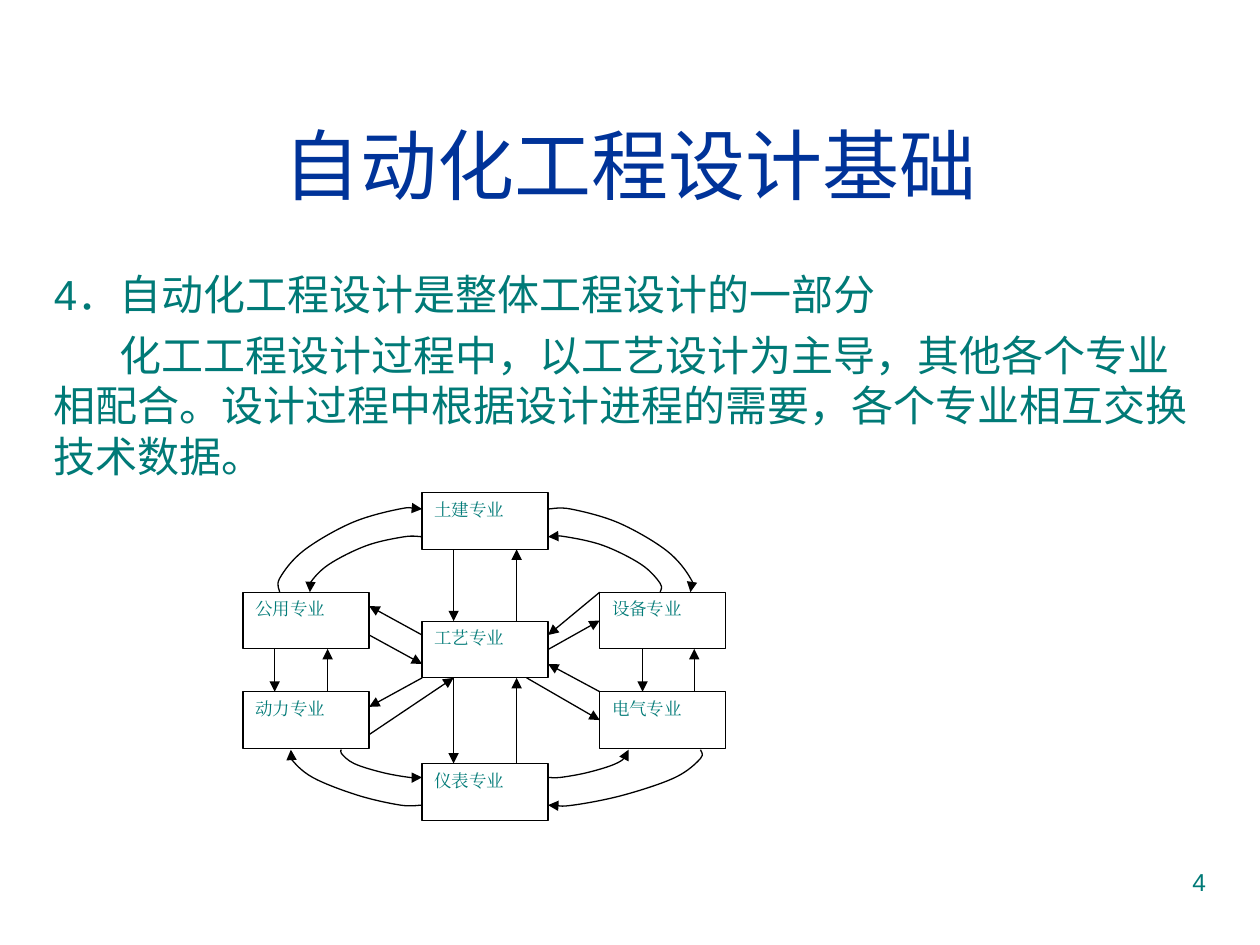
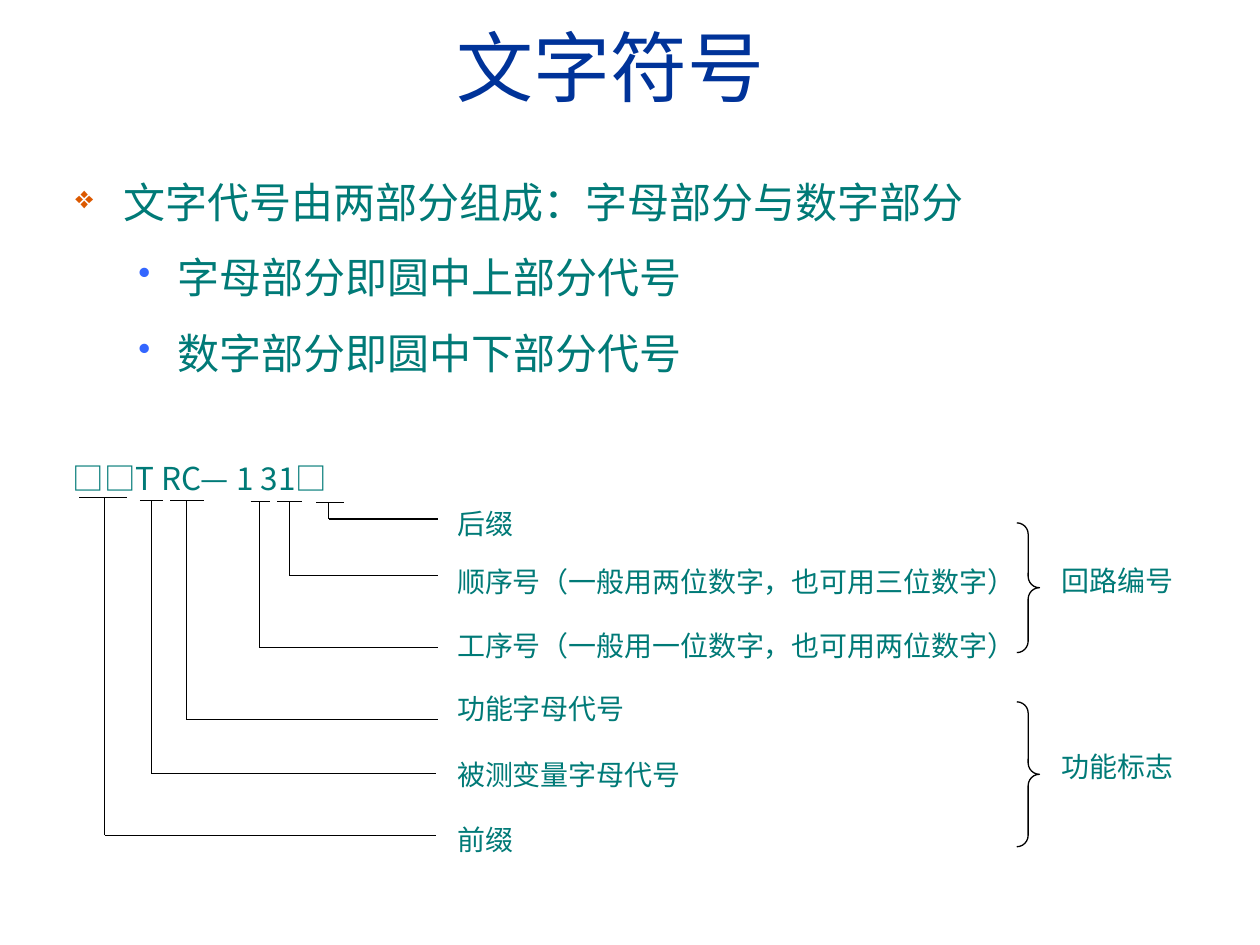
"""Build two slides on automation engineering design and letter codes."""
from lxml.etree import SubElement
from pptx import Presentation
from pptx.dml.color import RGBColor
from pptx.enum.shapes import MSO_CONNECTOR, MSO_SHAPE
from pptx.enum.text import MSO_ANCHOR, PP_ALIGN
from pptx.oxml.ns import qn
from pptx.util import Pt

PX = 9144
TEAL, NAVY, BLACK, WHITE = "007A77", "003399", "000000", "FFFFFF"
ORANGE, BLUE = "DC5900", "3366FF"
CJK = "Noto Sans CJK JP"
color = RGBColor.from_string


def write(frame, lines, size, font="Arial", ink=TEAL, align=PP_ALIGN.LEFT):
    frame.word_wrap = True
    for number, line in enumerate(lines):
        paragraph = frame.add_paragraph() if number else frame.paragraphs[0]
        paragraph.alignment = align
        run = paragraph.add_run()
        run.text = line
        run.font.size = Pt(size)
        run.font.name = font
        run.font.color.rgb = color(ink)
        SubElement(run.font._element, qn("a:ea"), typeface=font)
    return frame


def stroke(item, arrow=False):
    item.line.color.rgb = color(BLACK)
    item.line.width = Pt(0.75)
    properties = item.element.spPr
    if arrow:
        SubElement(properties.find(qn("a:ln")), qn("a:tailEnd"), type="triangle")
    SubElement(properties, qn("a:effectLst"))


deck = Presentation()
deck.slide_width, deck.slide_height = 1000 * PX, 750 * PX
basics, codes = [deck.slides.add_slide(deck.slide_layouts[6]) for _ in range(2)]

for slide, title, place in (
    (basics, "自动化工程设计基础", (33, 67, 934, 125)),
    (codes, "文字符号", (20, 0, 929, 105)),
):
    heading = slide.shapes.add_textbox(*[n * PX for n in place]).text_frame
    heading.vertical_anchor = MSO_ANCHOR.MIDDLE
    write(heading, [title], 44, ink=NAVY, align=PP_ALIGN.CENTER)

page_number = basics.shapes.add_textbox(717 * PX, 683 * PX, 250 * PX, 52 * PX)
write(page_number.text_frame, ["4"], 14, align=PP_ALIGN.RIGHT)

explanation = write(
    basics.shapes.add_textbox(33 * PX, 208 * PX, 934 * PX, 459 * PX).text_frame,
    [
        "4．自动化工程设计是整体工程设计的一部分",
        "化工工程设计过程中，以工艺设计为主导，其他各个专业相配合。"
        "设计过程中根据设计进程的需要，各个专业相互交换技术数据。",
    ],
    24,
)
detail = explanation.paragraphs[1]
detail.space_before = Pt(6)
detail._p.get_or_add_pPr().set("indent", str(52 * PX))

BOX_W, BOX_H = 100, 45
side_middles = {}
for discipline, x, y in (
    ("工艺专业", 335, 493),
    ("仪表专业", 335, 606),
    ("动力专业", 193, 549),
    ("公用专业", 193, 470),
    ("土建专业", 335, 391),
    ("设备专业", 476, 470),
    ("电气专业", 476, 549),
):
    box = basics.shapes.add_shape(
        MSO_SHAPE.RECTANGLE, x * PX, y * PX, BOX_W * PX, BOX_H * PX
    )
    box.fill.solid()
    box.fill.fore_color.rgb = color(WHITE)
    stroke(box)
    box.text_frame.vertical_anchor = MSO_ANCHOR.TOP
    write(box.text_frame, [discipline], 10, "Times New Roman", align=PP_ALIGN.JUSTIFY)
    middle_x, middle_y = x + BOX_W // 2, y + BOX_H // 2
    for site, point in enumerate(
        ((middle_x, y), (x, middle_y), (middle_x, y + BOX_H), (x + BOX_W, middle_y))
    ):
        side_middles[point] = (box, site)

for x1, y1, x2, y2 in (
    (360, 538, 360, 606),
    (410, 606, 410, 538),
    (360, 436, 360, 493),
    (410, 493, 410, 436),
    (335, 504, 293, 481),
    (293, 504, 335, 527),
    (476, 549, 435, 527),
    (418, 538, 476, 571),
    (335, 538, 293, 561),
    (293, 583, 360, 538),
    (476, 470, 435, 504),
    (435, 515, 476, 492),
    (218, 515, 218, 549),
    (260, 549, 260, 515),
    (510, 515, 510, 549),
    (551, 549, 551, 515),
):
    exchange = basics.shapes.add_connector(
        MSO_CONNECTOR.STRAIGHT, x1 * PX, y1 * PX, x2 * PX, y2 * PX
    )
    stroke(exchange, arrow=True)
    if (x1, y1) in side_middles:
        exchange.begin_connect(*side_middles[x1, y1])
    if (x2, y2) in side_middles:
        exchange.end_connect(*side_middles[x2, y2])

# Each right-hand arc has a left-hand partner running the other way.
for left_reach, right_arc in (
    (1, [(435, 404), (453, 404), (491, 415), (529, 437), (548, 459), (548, 470)]),
    (1, [(524, 470), (524, 463), (509, 448), (479, 433), (449, 426), (435, 426)]),
    (0.86, [(556, 595), (556, 602), (536, 617), (495, 631), (455, 639), (435, 639)]),
    (1, [(435, 617), (445, 617), (467, 613), (489, 606), (499, 598), (499, 595)]),
):
    left_arc = [(335 - (x - 435) * left_reach, y) for x, y in reversed(right_arc)]
    for arc in (right_arc, left_arc):
        knots = [arc[0], *arc, arc[-1]]
        controls = []
        for before, start, end, after in zip(knots, knots[1:], knots[2:], knots[3:]):
            controls += [
                [s + (e - b) / 6 for b, s, e in zip(before, start, end)],
                [e - (a - s) / 6 for s, e, a in zip(start, end, after)],
                end,
            ]
        outline = basics.shapes.build_freeform(arc[0][0] * PX, arc[0][1] * PX)
        outline.add_line_segments([(x * PX, y * PX) for x, y in controls], close=False)
        curve = outline.convert_to_shape()
        curve.fill.background()
        stroke(curve, arrow=True)
        pieces = list(curve.element.iter(qn("a:lnTo")))
        for first, second, third in zip(pieces[::3], pieces[1::3], pieces[2::3]):
            bezier = SubElement(first.getparent(), qn("a:cubicBezTo"))
            for piece in (first, second, third):
                bezier.append(piece[0])
                piece.getparent().remove(piece)

composition = write(
    codes.shapes.add_textbox(50 * PX, 115 * PX, 900 * PX, 191 * PX).text_frame,
    [
        "文字代号由两部分组成：字母部分与数字部分",
        "字母部分即圆中上部分代号",
        "数字部分即圆中下部分代号",
    ],
    24,
)
top_level, sub_level = (0, 38, 38, "❖", ORANGE, 75), (1, 81, 31, "•", BLUE, 85)
for paragraph, style in zip(composition.paragraphs, (top_level, sub_level, sub_level)):
    level, margin, hang, mark, ink, percent = style
    paragraph.level = level
    paragraph.line_spacing = 1.5
    properties = paragraph._p.get_or_add_pPr()
    properties.set("marL", str(margin * PX))
    properties.set("indent", str(-hang * PX))
    SubElement(SubElement(properties, qn("a:buClr")), qn("a:srgbClr"), val=ink)
    SubElement(properties, qn("a:buSzPct"), val=str(percent * 1000))
    SubElement(properties, qn("a:buChar"), char=mark)

sample_code = codes.shapes.add_textbox(48 * PX, 359 * PX, 264 * PX, 50 * PX)
write(sample_code.text_frame, ["□□T RC— 1 31□"], 18, "Noto Sans CJK SC",
      align=PP_ALIGN.JUSTIFY)

for meaning, tick_left, tick_right, tick_y, stem, row, reach, top, width in (
    ("后缀", 251, 273, 399, 261, 412, 348, 397, 121),
    ("顺序号（一般用两位数字，也可用三位数字）", 220, 240, 398, 230, 457, 348, 443, 490),
    ("工序号（一般用一位数字，也可用两位数字）", 199, 214, 398, 206, 514, 348, 494, 468),
    ("功能字母代号", 135, 162, 397, 148, 571, 348, 544, 195),
    ("被测变量字母代号", 111, 129, 397, 120, 614, 346, 596, 294),
    ("前缀", 63, 101, 395, 83, 663, 346, 648, 90),
):
    for ends in (
        (tick_left, tick_y, tick_right, tick_y),
        (stem, tick_y, stem, row),
        (stem, row, reach, row),
    ):
        stroke(codes.shapes.add_connector(
            MSO_CONNECTOR.STRAIGHT, *[n * PX for n in ends]
        ))
    label = codes.shapes.add_textbox(353 * PX, top * PX, width * PX, 54 * PX)
    write(label.text_frame, [meaning], 16, CJK, align=PP_ALIGN.JUSTIFY)

for group, brace_top, brace_height, top in (
    ("回路编号", 415, 103, 442),
    ("功能标志", 557, 115, 590),
):
    brace = codes.shapes.add_shape(
        MSO_SHAPE.RIGHT_BRACE, 807 * PX, brace_top * PX, 18 * PX, brace_height * PX
    )
    brace.adjustments[0] = 0.5
    brace.fill.background()
    stroke(brace)
    label = codes.shapes.add_textbox(833 * PX, top * PX, 119 * PX, 52 * PX)
    write(label.text_frame, [group], 16, CJK, align=PP_ALIGN.JUSTIFY)

deck.save("out.pptx")
